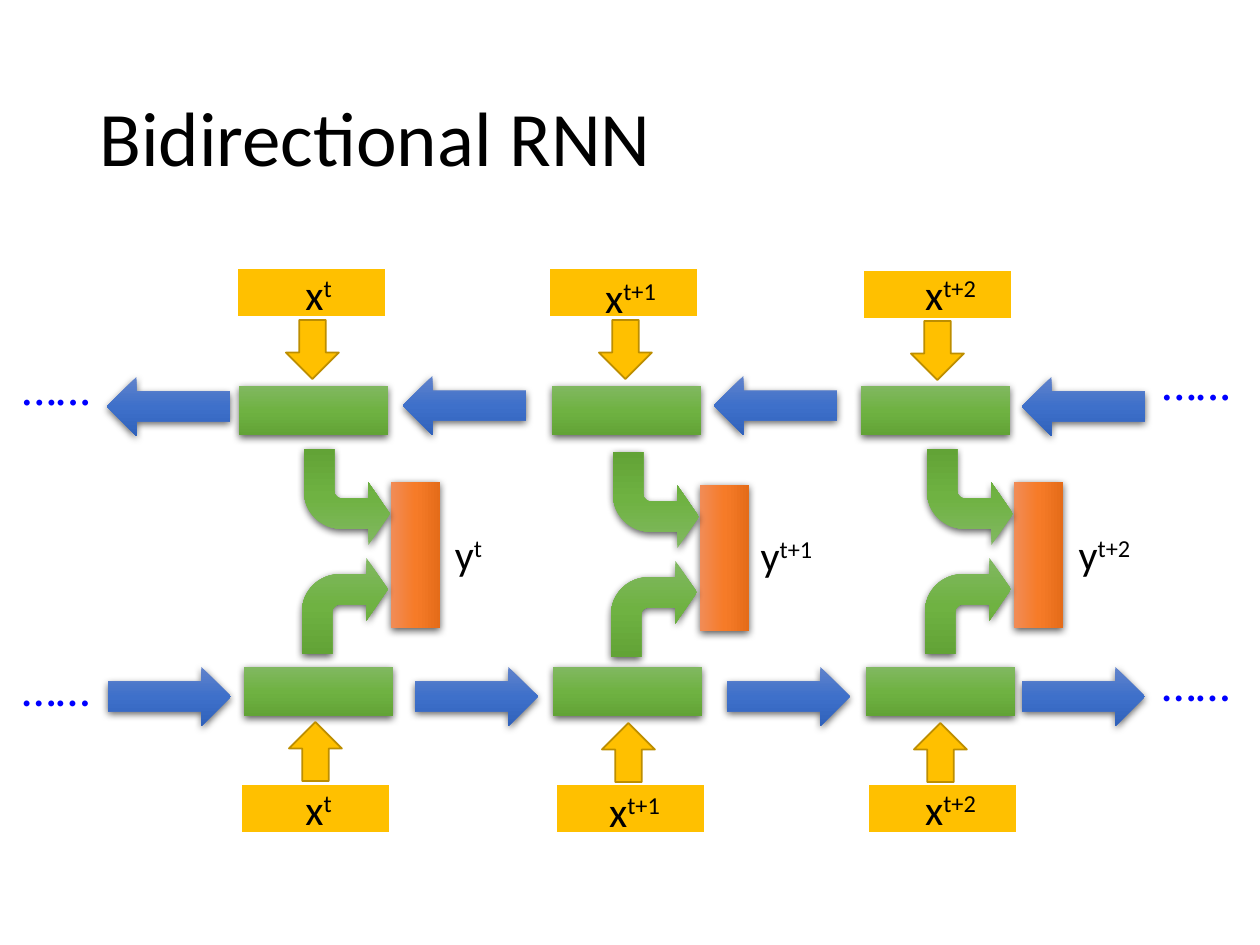
from copy import deepcopy
from dataclasses import dataclass

from lxml import etree
from pptx import Presentation
from pptx import util as u
from pptx.dml.color import RGBColor
from pptx.enum import shapes, text
from pptx.oxml.ns import qn

EMU_PER_PX = 914400 / 126
FONT = "Calibri"
COLORS = {
    "text": "000000", "dots": "0000FF",
    "input": "FFC000", "input_edge": "FFFFFF", "arrow_edge": "BD8E00",
}
GRADIENTS = {
    "green": ("81B861", "6FB242", "62A336"),
    "blue": ("6183CB", "3E70CA", "3062BB"),
    "orange": ("F18C57", "F67B28", "E56C19"),
}
STEPS = ("t", "t+1", "t+2")
SHAPE = shapes.MSO_SHAPE


@dataclass(frozen=True)
class Style:
    """A kind of block: a gradient with a shadow, or flat with an edge."""
    preset: int
    width: int
    height: int
    gradient: str = ""
    angle: int = 270
    edge: str = ""
    edge_width: float = 0
    adjustments: tuple[float, ...] = ()


@dataclass(frozen=True)
class Chain:
    """One direction of the network; lists run from left to right."""
    inputs: tuple[tuple[int, int], ...]
    labels: tuple[tuple[int, int], ...]
    cells: tuple[tuple[int, int], ...]
    feeds: tuple[tuple[int, int], ...]
    links: tuple[tuple[int, int], ...]
    dots: tuple[tuple[int, int], ...]
    feed_preset: int
    link_preset: int
    dots_rotation: int


INPUT = Style(SHAPE.RECTANGLE, 149, 49, edge="input_edge", edge_width=1.5)
CELL = Style(SHAPE.RECTANGLE, 149, 49, "green")
OUTPUT = Style(SHAPE.RECTANGLE, 49, 146, "orange", angle=0)
BEND = Style(SHAPE.BENT_ARROW, 86, 96, "green",
             adjustments=(0.352, 0.363, 0.25, 0.438))

FORWARD = Chain(
    inputs=((241, 784), (556, 784), (868, 784)),
    labels=((256, 777), (572, 779), (888, 777)),
    cells=((244, 667), (553, 667), (866, 667)),
    feeds=((289, 722), (602, 723), (914, 723)),
    links=((108, 667), (415, 667), (727, 667), (1022, 667)),
    dots=((-5, 651), (1135, 646)),
    feed_preset=SHAPE.UP_ARROW, link_preset=SHAPE.RIGHT_ARROW, dots_rotation=0,
)
BACKWARD = Chain(
    inputs=((237, 268), (549, 268), (863, 270)),
    labels=((256, 262), (568, 265), (888, 262)),
    cells=((239, 386), (552, 386), (861, 386)),
    feeds=((286, 320), (599, 320), (911, 321)),
    links=((107, 377), (403, 376), (714, 376), (1022, 377)),
    dots=((-5, 384), (1135, 379)),
    feed_preset=SHAPE.DOWN_ARROW, link_preset=SHAPE.LEFT_ARROW, dots_rotation=180,
)
OUTPUT_SHIFTS = ((0, 0), (309, 3), (623, 0))
Y_LABELS = ((406, 522), (724, 523), (1042, 522))


def px(length: int) -> u.Emu:
    return u.Emu(round(length * EMU_PER_PX))


def rgb(value: str) -> RGBColor:
    return RGBColor.from_string(value)


def fill_gradient(shape, style: Style) -> None:
    fill = shape.fill
    fill.gradient()
    fill.gradient_angle = style.angle
    stop_list = shape._element.spPr.find(".//" + qn("a:gsLst"))
    stop_list.append(deepcopy(stop_list[0]))
    for index, (stop, color) in enumerate(zip(fill.gradient_stops, GRADIENTS[style.gradient])):
        stop.position = index / 2
        stop.color.rgb = rgb(color)


def add_shadow(shape) -> None:
    effects = shape._element.spPr.find(qn("a:effectLst"))
    shadow = etree.SubElement(
        effects, qn("a:outerShdw"), blurRad=str(u.Pt(4.5)), dist=str(u.Pt(1.5)),
        dir="5400000", algn="ctr", rotWithShape="0")
    color = etree.SubElement(shadow, qn("a:srgbClr"), val="000000")
    etree.SubElement(color, qn("a:alpha"), val="63000")


def add_block(page, style: Style, left: int, top: int, flip: bool = False) -> None:
    shape = page.shapes.add_shape(
        style.preset, px(left), px(top), px(style.width), px(style.height))
    shape.shadow.inherit = False
    for index, value in enumerate(style.adjustments):
        shape.adjustments[index] = value
    if flip:
        shape._element.spPr.xfrm.set("flipV", "1")
    if style.gradient:
        fill_gradient(shape, style)
        shape.line.fill.background()
        add_shadow(shape)
    else:
        shape.fill.solid()
        shape.fill.fore_color.rgb = rgb(COLORS["input"])
        shape.line.color.rgb = rgb(COLORS[style.edge])
        shape.line.width = u.Pt(style.edge_width)


def add_span(para, words: str, size: int, color: str, raised: bool = False) -> None:
    span = para.add_run()
    span.text = words
    span.font.name = FONT
    span.font.size = u.Pt(size)
    span.font.color.rgb = rgb(COLORS[color])
    if raised:
        span._r.get_or_add_rPr().set("baseline", "30000")


def add_box(page, left: int, top: int, width: int, height: int):
    """Add a text box and return it with its first paragraph."""
    box = page.shapes.add_textbox(px(left), px(top), px(width), px(height))
    box.text_frame.word_wrap = True
    return box, box.text_frame.paragraphs[0]


def add_label(page, letter: str, step: str, left: int, top: int) -> None:
    _, para = add_box(page, left, top, 125, 63)
    para.alignment = text.PP_ALIGN.CENTER
    add_span(para, letter, 24, "text")
    add_span(para, step, 24, "text", raised=True)


def add_dots(page, left: int, top: int, rotation: int) -> None:
    box, para = add_box(page, left, top, 122, 72)
    box.rotation = rotation
    para.alignment = text.PP_ALIGN.CENTER
    add_span(para, "……", 28, "dots")


def add_title(page) -> None:
    box, para = add_box(page, 87, 50, 1086, 183)
    box.text_frame.vertical_anchor = text.MSO_ANCHOR.MIDDLE
    para.line_spacing = 0.9
    add_span(para, "Bidirectional RNN", 44, "text")


def add_chain(page, chain: Chain) -> None:
    feed = Style(chain.feed_preset, 53, 59, edge="arrow_edge", edge_width=1)
    link = Style(chain.link_preset, 123, 59, "blue")
    for style, places in ((INPUT, chain.inputs), (CELL, chain.cells),
                          (feed, chain.feeds), (link, chain.links)):
        for left, top in places:
            add_block(page, style, left, top)
    for left, top in chain.dots:
        add_dots(page, left, top, chain.dots_rotation)
    for step, (left, top) in zip(STEPS, chain.labels):
        add_label(page, "x", step, left, top)


def add_outputs(page) -> None:
    for step, (dx, dy), (left, top) in zip(STEPS, OUTPUT_SHIFTS, Y_LABELS):
        add_block(page, OUTPUT, 391 + dx, 482 + dy)
        add_block(page, BEND, 302 + dx, 558 + dy)
        add_block(page, BEND, 304 + dx, 449 + dy, flip=True)
        add_label(page, "y", step, left, top)


def main() -> None:
    deck = Presentation()
    deck.slide_width, deck.slide_height = px(1260), px(945)
    page = deck.slides.add_slide(deck.slide_layouts[6])
    add_title(page)
    for chain in (FORWARD, BACKWARD):
        add_chain(page, chain)
    add_outputs(page)
    deck.save("out.pptx")


if __name__ == "__main__":
    main()
